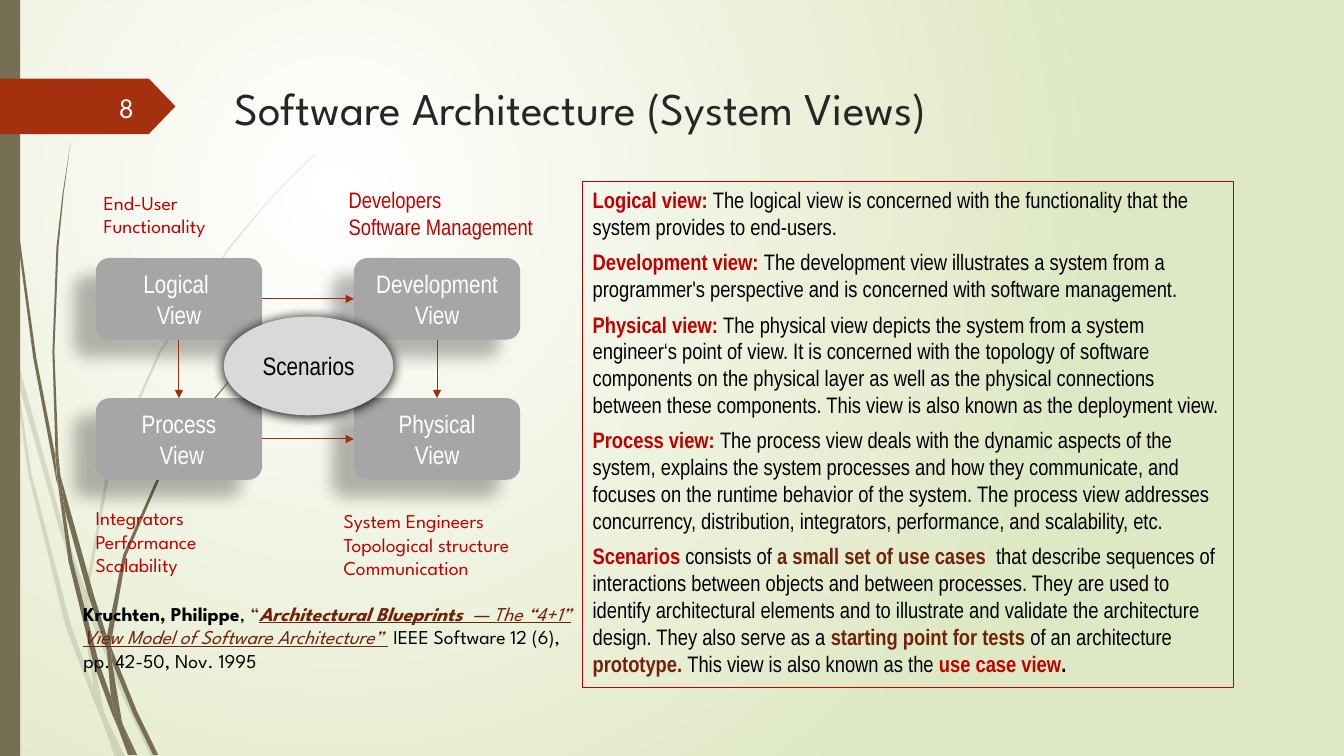
"""Build the slide on the 4+1 system views of software architecture."""
from dataclasses import dataclass, replace
from typing import Optional

from lxml.etree import SubElement
from pptx import Presentation
from pptx.dml.color import RGBColor
from pptx.enum.shapes import MSO_CONNECTOR as Connector, MSO_SHAPE as Preset
from pptx.enum.text import MSO_ANCHOR as Anchor, MSO_AUTO_SIZE as AutoSize, PP_ALIGN as Align
from pptx.oxml.ns import qn
from pptx.util import Cm, Pt

SPARTAN, NARROW = "League Spartan", "Arial Narrow"
RED, MAROON, BLACK, WHITE, OLIVE = "C00000", "72220B", "000000", "FFFFFF", "766F54"


@dataclass(frozen=True)
class Run:
    text: str
    color: str = BLACK
    size: float = 14
    font: str = SPARTAN
    bold: bool = False
    italic: bool = False
    underline: bool = False


@dataclass(frozen=True)
class Box:
    left: float
    top: float
    width: float
    height: float


@dataclass(frozen=True)
class Shadow:
    alpha: int
    blur: float
    distance: float
    angle: int


@dataclass(frozen=True)
class Label:
    box: Box
    lines: list
    style: Run


FAINT_BLADES = [
    [(.11, 3.5), (.09, 3.22), (0, 2.82), (0, 2.99), (.1, 3.44)],
    [(.58, 5.22), (.84, 5.99), (.85, 5.86), (.62, 5.2), (.14, 3.45), (.17, 3.76)],
    [(.92, 6.07), (.88, 5.96), (.88, 6.1), (1.23, 6.94), (1.5, 7.51), (1.55, 7.51), (1.27, 6.92)],
    [(1.19, 7.51), (1.24, 7.51), (1.05, 7.11)],
    [(.93, 6.83), (.7, 6.19), (.31, 4.69), (.17, 3.76), (.11, 3.5), (.28, 4.7), (.65, 6.21), (.92, 6.93),
     (1.01, 7.14), (.99, 7.07)],
    [(.84, 5.99), (.87, 6.46), (.93, 6.83), (.96, 6.92), (1.05, 7.11), (1.03, 7.06), (.91, 6.46), (.88, 6.1),
     (.88, 6.08)],
    [(.88, 5.84), (1.1, 4.62), (1.6, 3.49), (2.29, 2.45), (2.68, 1.98), (2.9, 1.75), (3.12, 1.54), (3.12, 1.53),
     (2.89, 1.75), (2.68, 1.97), (2.28, 2.44), (1.58, 3.48), (1.07, 4.61), (.85, 5.84), (.85, 5.86), (.88, 5.96)],
    [(1.01, 7.14), (1.14, 7.51), (1.19, 7.51)],
    [(.88, 6.08), (.88, 6.1), (.88, 5.96), (.85, 5.86), (.84, 5.99)],
    [(.96, 6.92), (.93, 6.83), (.99, 7.07), (1.01, 7.14), (1.19, 7.51), (1.05, 7.11)],
]
SOLID_BLADES = [
    [(.07, 1.1), (.17, 2.33), (.33, 3.55), (.56, 4.77), (.57, 4.81), (.55, 4.57), (.55, 4.53), (.36, 3.55),
     (.19, 2.32), (.08, 1.09), (.05, .48), (.04, 0), (.03, 0), (.04, .48)],
    [(.88, 5.92), (1.06, 6.45), (1.06, 6.31), (.93, 5.9), (.6, 4.72), (.64, 5.05)],
    [(1.13, 6.49), (1.1, 6.41), (1.11, 6.56), (1.32, 7.08), (1.52, 7.49), (1.57, 7.49), (1.36, 7.06)],
    [(1.1, 6.91), (.98, 6.57), (.72, 5.56), (.64, 5.05), (.57, 4.77), (.68, 5.57), (.93, 6.59), (1.11, 7.08),
     (1.17, 7.22), (1.16, 7.17)],
    [(.6, 4.72), (.58, 4.53), (.54, 3.49), (.58, 2.45), (.63, 1.93), (.7, 1.41), (.62, 1.93), (.56, 2.45),
     (.52, 3.49), (.55, 4.49)],
    [(1.33, 7.49), (1.36, 7.49), (1.22, 7.19)],
    [(.57, 4.77), (.64, 5.05), (.6, 4.72), (.55, 4.49), (.55, 4.53)],
    [(1.11, 6.33), (1.25, 5.52), (1.58, 4.76), (2.05, 4.06), (2.31, 3.74), (2.61, 3.44), (2.6, 3.44), (2.31, 3.73),
     (2.04, 4.05), (1.56, 4.74), (1.22, 5.51), (1.06, 6.31), (1.1, 6.41)],
    [(1.17, 7.22), (1.27, 7.49), (1.31, 7.49)],
    [(1.06, 6.45), (1.1, 6.91), (1.16, 7.06), (1.22, 7.19), (1.21, 7.16), (1.11, 6.56), (1.09, 6.51)],
    [(1.06, 6.45), (1.11, 6.56), (1.1, 6.41), (1.06, 6.31)],
    [(1.16, 7.06), (1.1, 6.91), (1.16, 7.17), (1.17, 7.22), (1.3, 7.49), (1.33, 7.49), (1.22, 7.19)],
]

COLUMNS, ROWS = (.95, 3.51), (2.56, 3.95)
NODE_WIDTH, NODE_HEIGHT = 1.65, .81
NODES = [[("Logical ", "View"), ("Development", "View")], [("Process", " View"), ("Physical", "View")]]
NODE_SHADOW, HUB_SHADOW = Shadow(28, 11.8, 19.7, 141), Shadow(100, 8.5, 1, 90)
NODE_TEXT = Run("", WHITE, 18, NARROW)
ROLE = Run("", RED)
LABELS = [
    Label(Box(.93, 1.84, 1.53, .57), ["End-User", "Functionality"], ROLE),
    Label(Box(3.36, 1.8, 2.08, .64), ["Developers", "Software Management"], replace(ROLE, size=16, font=NARROW)),
    Label(Box(.85, 4.97, 1.72, .81), ["Integrators", "Performance", "Scalability"], ROLE),
    Label(Box(3.31, 5, 2.26, .81), ["System Engineers", "Topological structure", "Communication"], ROLE),
]
PLAIN = Run("", BLACK, 16, NARROW)
KEY, STRONG = replace(PLAIN, color=RED, bold=True), replace(PLAIN, color=MAROON, bold=True)
DESCRIPTIONS = [[replace(style, text=text) for style, text in parts] for parts in [
    [(KEY, "Logical view: "), (PLAIN, "The logical view is concerned with the functionality that the system provides to end-users.")],
    [(KEY, "Development view: "), (PLAIN, "The development view illustrates a system from a programmer's perspective and is concerned with software management.")],
    [(KEY, "Physical view: "), (PLAIN, "The physical view depicts the system from a system engineer‘s point of view. It is concerned with the topology of software components on the physical layer as well as the physical connections between these components. This view is also known as the deployment view.")],
    [(KEY, "Process view: "), (PLAIN, "The process view deals with the dynamic aspects of the system, explains the system processes and how they communicate, and focuses on the runtime behavior of the system. The process view addresses concurrency, distribution, integrators, performance, and scalability, etc.")],
    [(KEY, "Scenarios "), (PLAIN, "consists of "), (STRONG, "a small set of use cases  "),
     (PLAIN, "that describe sequences of interactions between objects and between processes. They are used to identify architectural elements and to illustrate and validate the architecture design. They also serve as a "),
     (STRONG, "starting point for tests "), (PLAIN, "of an architecture "), (STRONG, "prototype. "),
     (PLAIN, "This view is also known as the "), (KEY, "use case view"), (replace(KEY, color=BLACK), ".")],
]]
CITATION = [
    Run("Kruchten, Philippe", bold=True), Run(", "), Run("“", MAROON),
    Run("Architectural Blueprints", MAROON, bold=True, italic=True, underline=True),
    Run("  — The “4+1” View Model of Software Architecture” ", MAROON, italic=True, underline=True),
    Run(" IEEE Software 12 (6), pp. 42-50, Nov. 1995"),
]


def length(inches: float) -> Cm:
    return Cm(inches * 2.54)


def frame(box: Box) -> list:
    return [length(side) for side in (box.left, box.top, box.width, box.height)]


def paint(color_format, color: str) -> None:
    color_format.rgb = RGBColor.from_string(color)


def style_shape(shape, fill: Optional[str], line: Optional[str] = None) -> None:
    shape.shadow.inherit = False
    for part, color in ((shape.fill, fill), (shape.line.fill, line)):
        if color:
            part.solid()
            paint(part.fore_color, color)
        else:
            part.background()


def add_preset(slide, preset, box: Box, fill: Optional[str], line: Optional[str] = None):
    shape = slide.shapes.add_shape(preset, *frame(box))
    style_shape(shape, fill, line)
    return shape


def write(shape, paragraphs: list, align=Align.LEFT, anchor=Anchor.TOP, gap: float = 0, grow: bool = False) -> None:
    text_frame = shape.text_frame
    text_frame.word_wrap, text_frame.vertical_anchor = True, anchor
    text_frame.auto_size = AutoSize.SHAPE_TO_FIT_TEXT if grow else AutoSize.NONE
    for index, runs in enumerate(paragraphs):
        paragraph = text_frame.add_paragraph() if index else text_frame.paragraphs[0]
        paragraph.alignment, paragraph.space_before = align, Pt(gap if index else 0)
        for item in runs:
            run = paragraph.add_run()
            run.text, font = item.text, run.font
            font.name, font.size, font.bold = item.font, Pt(item.size), item.bold
            font.italic, font.underline = item.italic, item.underline
            paint(font.color, item.color)


def add_text(slide, box: Box, paragraphs: list, **layout) -> None:
    write(slide.shapes.add_textbox(*frame(box)), paragraphs, **layout)


def add_alpha(color, percent: int) -> None:
    SubElement(color, qn("a:alpha"), val=str(percent * 1000))


def cast_shadow(shape, shadow: Shadow) -> None:
    outer = SubElement(shape.element.spPr.find(qn("a:effectLst")), qn("a:outerShdw"), blurRad=str(Pt(shadow.blur)),
                       dist=str(Pt(shadow.distance)), dir=str(shadow.angle * 60000))
    add_alpha(SubElement(outer, qn("a:srgbClr"), val=BLACK), shadow.alpha)


def add_blade(slide, outline: list, opacity: int) -> None:
    start, *others = [(length(x), length(y)) for x, y in outline]
    builder = slide.shapes.build_freeform(*start, scale=1.0)
    builder.add_line_segments(others, close=True)
    shape = builder.convert_to_shape()
    style_shape(shape, OLIVE)
    add_alpha(shape.element.spPr.find(qn("a:solidFill"))[0], opacity)


def add_arrow(slide, *ends: float) -> None:
    arrow = slide.shapes.add_connector(Connector.STRAIGHT, *[length(value) for value in ends])
    paint(arrow.line.color, "9E2E0F")
    arrow.line.width = Pt(.75)
    SubElement(arrow.element.spPr.find(qn("a:ln")), qn("a:tailEnd"), type="triangle")
    SubElement(arrow.element.spPr, qn("a:effectLst"))


def set_background(slide) -> None:
    fill = slide.background.fill
    fill.gradient()
    for stop, color in zip(fill.gradient_stops, (WHITE, "DFE8C4")):
        paint(stop.color, color)
    gradient = slide.element.xpath(".//p:bg//a:gradFill")[0]
    gradient.remove(gradient.find(qn("a:lin")))
    circle = SubElement(gradient, qn("a:path"), {"path": "circle"})
    SubElement(circle, qn("a:fillToRect"), l="50000", t="50000", r="100000", b="100000")


def add_views(slide) -> None:
    for top, names in zip(ROWS, NODES):
        for left, lines in zip(COLUMNS, names):
            node = add_preset(slide, Preset.ROUNDED_RECTANGLE, Box(left, top, NODE_WIDTH, NODE_HEIGHT), "A6A6A6")
            cast_shadow(node, NODE_SHADOW)
            write(node, [[replace(NODE_TEXT, text=line)] for line in lines], Align.CENTER, Anchor.MIDDLE)
    hub = add_preset(slide, Preset.OVAL, Box(2.22, 3.14, 1.68, .98), "D9D9D9")
    cast_shadow(hub, HUB_SHADOW)
    write(hub, [[replace(NODE_TEXT, text="Scenarios", color=BLACK)]], Align.CENTER, Anchor.MIDDLE)
    for top in ROWS:
        middle = top + NODE_HEIGHT / 2
        add_arrow(slide, COLUMNS[0] + NODE_WIDTH, middle, COLUMNS[1], middle)
    for left in COLUMNS:
        center = left + NODE_WIDTH / 2
        add_arrow(slide, center, ROWS[0] + NODE_HEIGHT, center, ROWS[1])


def main() -> None:
    presentation = Presentation()
    presentation.slide_width, presentation.slide_height = length(13.33), length(7.5)
    slide = presentation.slides.add_slide(presentation.slide_layouts[6])
    set_background(slide)
    for blades, opacity in ((FAINT_BLADES, 20), (SOLID_BLADES, 100)):
        for outline in blades:
            add_blade(slide, outline, opacity)
    add_preset(slide, Preset.RECTANGLE, Box(0, 0, .2, 7.5), OLIVE)
    tag = add_preset(slide, Preset.PENTAGON, Box(0, .78, 1.74, .55), "A53010")
    tag.adjustments[0] = .48
    add_text(slide, Box(2.23, .75, 9.75, .68), [[Run("Software Architecture (System Views)", "262626", 32.4)]])
    add_text(slide, Box(.58, .86, .85, .4), [[Run("8", "FEFFFF", 20)]], align=Align.RIGHT, anchor=Anchor.MIDDLE)
    add_views(slide)
    for label in LABELS:
        add_text(slide, label.box, [[replace(label.style, text=line)] for line in label.lines], grow=True)
    panel = add_preset(slide, Preset.RECTANGLE, Box(5.78, 1.8, 6.45, 5.02), None, RED)
    panel.line.width = Pt(.75)
    write(panel, DESCRIPTIONS, gap=6, grow=True)
    add_text(slide, Box(.73, 5.92, 5.16, .81), [CITATION], grow=True)
    presentation.save("out.pptx")


if __name__ == "__main__":
    main()
